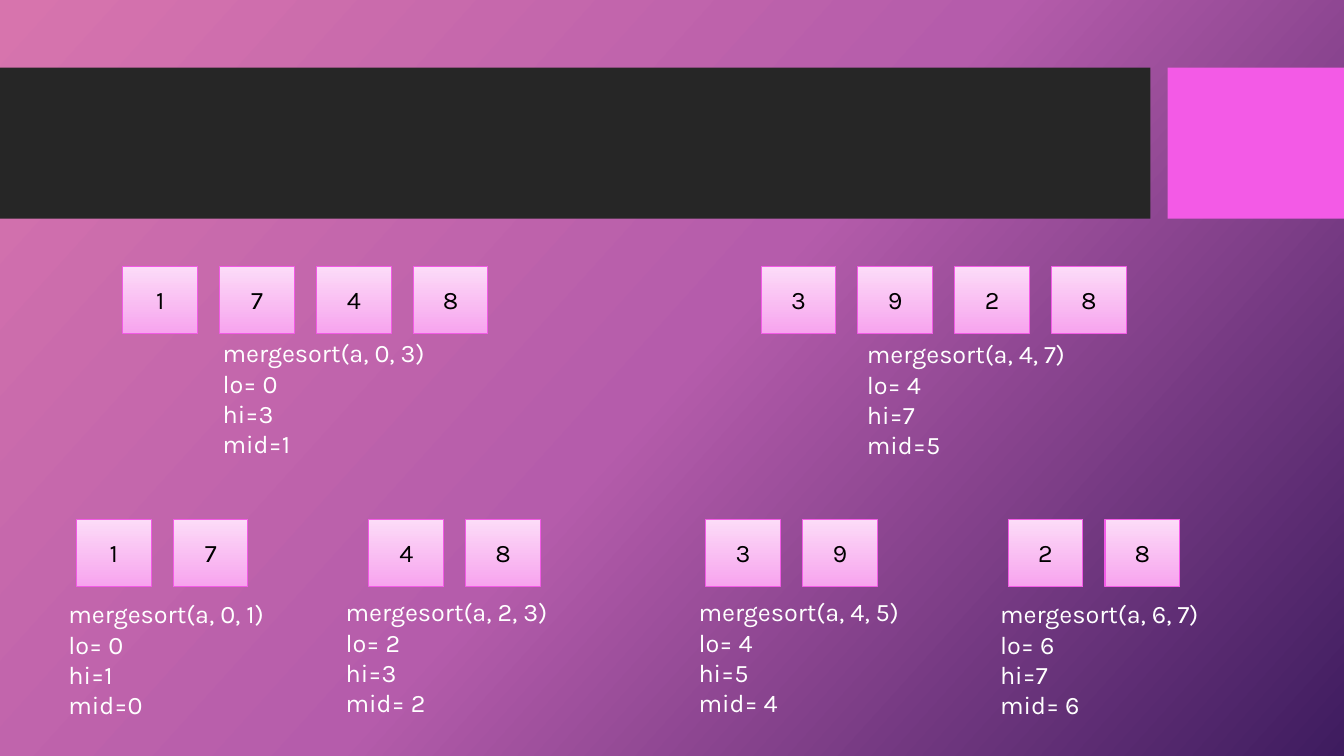
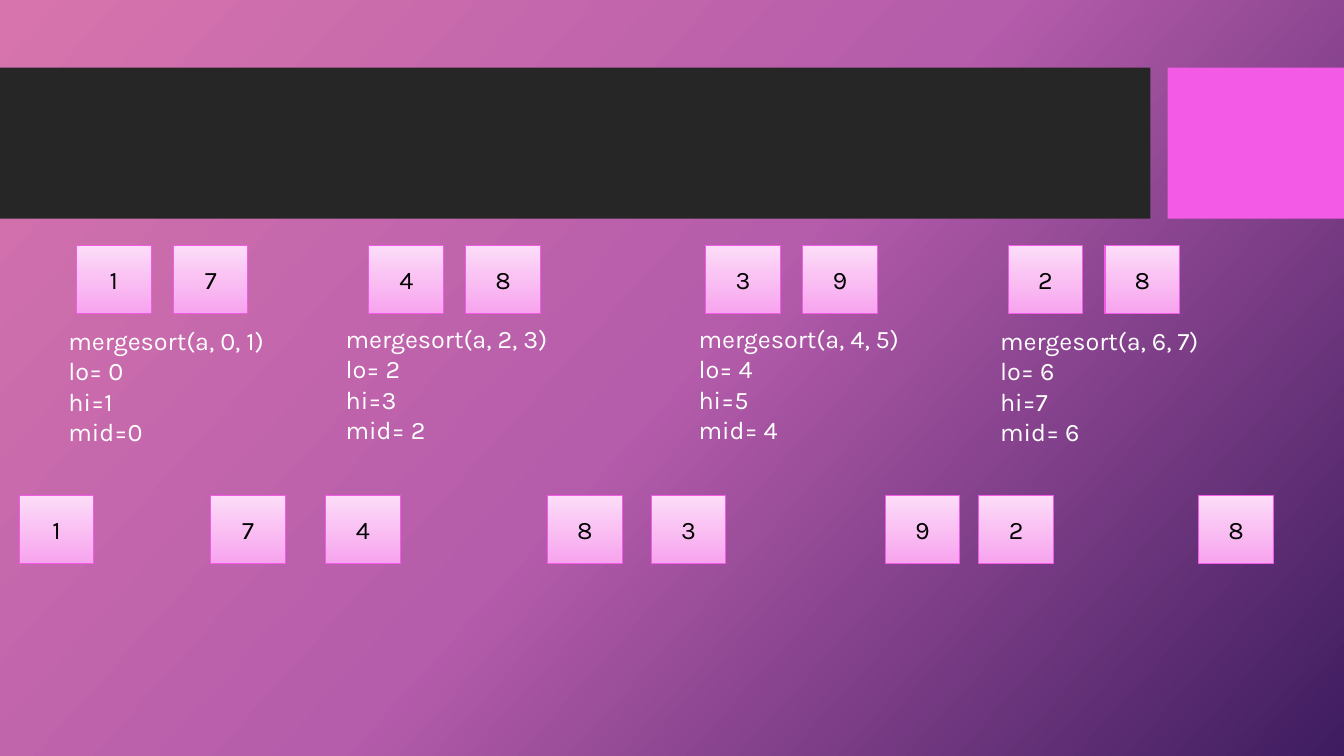
from copy import deepcopy

from pptx import Presentation
from pptx.dml.color import RGBColor
from pptx.enum.shapes import MSO_SHAPE
from pptx.enum.text import MSO_ANCHOR, MSO_AUTO_SIZE, PP_ALIGN
from pptx.oxml.ns import qn
from pptx.util import Emu, Pt

RECTANGLE = MSO_SHAPE.RECTANGLE
MIDDLE = MSO_ANCHOR.MIDDLE
CENTER = PP_ALIGN.CENTER
FIT_SHAPE = MSO_AUTO_SIZE.SHAPE_TO_FIT_TEXT

PX = 9144
SLIDE_W, SLIDE_H = 1333, 750
FONT, FONT_SIZE = "Karla", 18
BLACK, WHITE = "000000", "FFFFFF"
DARK, PINK = "262626", "F35AE6"
BACKGROUND = ("D774AD", "B55CAB", "3E1C5F")
CELL_FILL = ("FCDCF8", "F7A4EE")
CELL_W, CELL_H, CELL_PITCH = 74, 67, 96
NOTE_W, NOTE_H = 227, 131

# Each part: values, cells left, note left, note drop, lo, hi, mid text
HALVES = (
    ("1748", 122, 211, 66, 0, 3, "mid=1"),
    ("3928", 755, 850, 67, 4, 7, "mid=5"),
)
QUARTERS = (
    ("17", 76, 58, 74, 0, 1, "mid=0"),
    ("48", 366, 333, 72, 2, 3, "mid= 2"),
    ("39", 700, 683, 72, 4, 5, "mid= 4"),
    ("28", 1000, 982, 74, 6, 7, "mid= 6"),
)
SINGLES = (
    ("1", 19), ("7", 209), ("4", 323), ("8", 543),
    ("3", 646), ("9", 878), ("2", 971), ("8", 1189),
)


def px(*lengths):
    """Turn px lengths into EMU."""
    return [Emu(n * PX) for n in lengths]


def rgb(color):
    """Turn a hex string into a colour."""
    return RGBColor.from_string(color)


def set_gradient(element, fill, colors, angle):
    """Give a fill evenly spaced colour stops at a clockwise angle."""
    fill.gradient()
    fill.gradient_angle = 360 - angle
    stops = element.find(".//" + qn("a:gsLst"))
    while len(stops) < len(colors):
        stops.append(deepcopy(stops[-1]))
    for i, (stop, color) in enumerate(zip(fill.gradient_stops, colors)):
        stop.position = i / (len(colors) - 1)
        stop.color.rgb = rgb(color)


def add_run(p, text, color):
    """Add one run in the deck's font."""
    r = p.add_run()
    r.text = text
    r.font.name = FONT
    r.font.size = Pt(FONT_SIZE)
    r.font.color.rgb = rgb(color)


def add_rect(slide, left, top, width, height):
    """Add a rectangle without shadow."""
    sp = slide.shapes.add_shape(RECTANGLE, *px(left, top, width, height))
    sp.shadow.inherit = False
    return sp


def add_band(slide, left, width, color):
    """Add one piece of the title band."""
    sp = add_rect(slide, left, 67, width, 150)
    sp.fill.solid()
    sp.fill.fore_color.rgb = rgb(color)
    sp.line.fill.background()


def add_cell(slide, left, top, value):
    """Add one array cell."""
    sp = add_rect(slide, left, top, CELL_W, CELL_H)
    set_gradient(sp.element, sp.fill, CELL_FILL, 90)
    sp.line.color.rgb = rgb(PINK)
    sp.line.width = Pt(0.75)
    tf = sp.text_frame
    tf.vertical_anchor = MIDDLE
    p = tf.paragraphs[0]
    p.alignment = CENTER
    add_run(p, value, BLACK)


def add_note(slide, left, top, lines):
    """Add a text box with one paragraph per line."""
    sp = slide.shapes.add_textbox(*px(left, top, NOTE_W, NOTE_H))
    tf = sp.text_frame
    tf.word_wrap = False
    tf.auto_size = FIT_SHAPE
    for i, line in enumerate(lines):
        p = tf.add_paragraph() if i else tf.paragraphs[0]
        add_run(p, line, WHITE)


def add_calls(slide, top, calls):
    """Add a row of subarrays with their call variables."""
    for values, left, note_left, drop, lo, hi, mid in calls:
        for i, value in enumerate(values):
            add_cell(slide, left + i * CELL_PITCH, top, value)
        lines = (f"mergesort(a, {lo}, {hi})", f"lo= {lo}", f"hi={hi}", mid)
        add_note(slide, note_left, top + drop, lines)


def add_slide(prs):
    """Add a blank slide with the shared background and band."""
    slide = prs.slides.add_slide(prs.slide_layouts[6])
    set_gradient(slide.element, slide.background.fill, BACKGROUND, 42)
    add_band(slide, 0, 1141, DARK)
    add_band(slide, 1158, 175, PINK)
    return slide


def main():
    """Build and save the deck."""
    prs = Presentation()
    prs.slide_width, prs.slide_height = px(SLIDE_W, SLIDE_H)

    slide = add_slide(prs)
    add_calls(slide, 264, HALVES)
    add_calls(slide, 515, QUARTERS)

    slide = add_slide(prs)
    add_calls(slide, 244, QUARTERS)
    for value, left in SINGLES:
        add_cell(slide, left, 492, value)

    prs.save("out.pptx")


if __name__ == "__main__":
    main()
